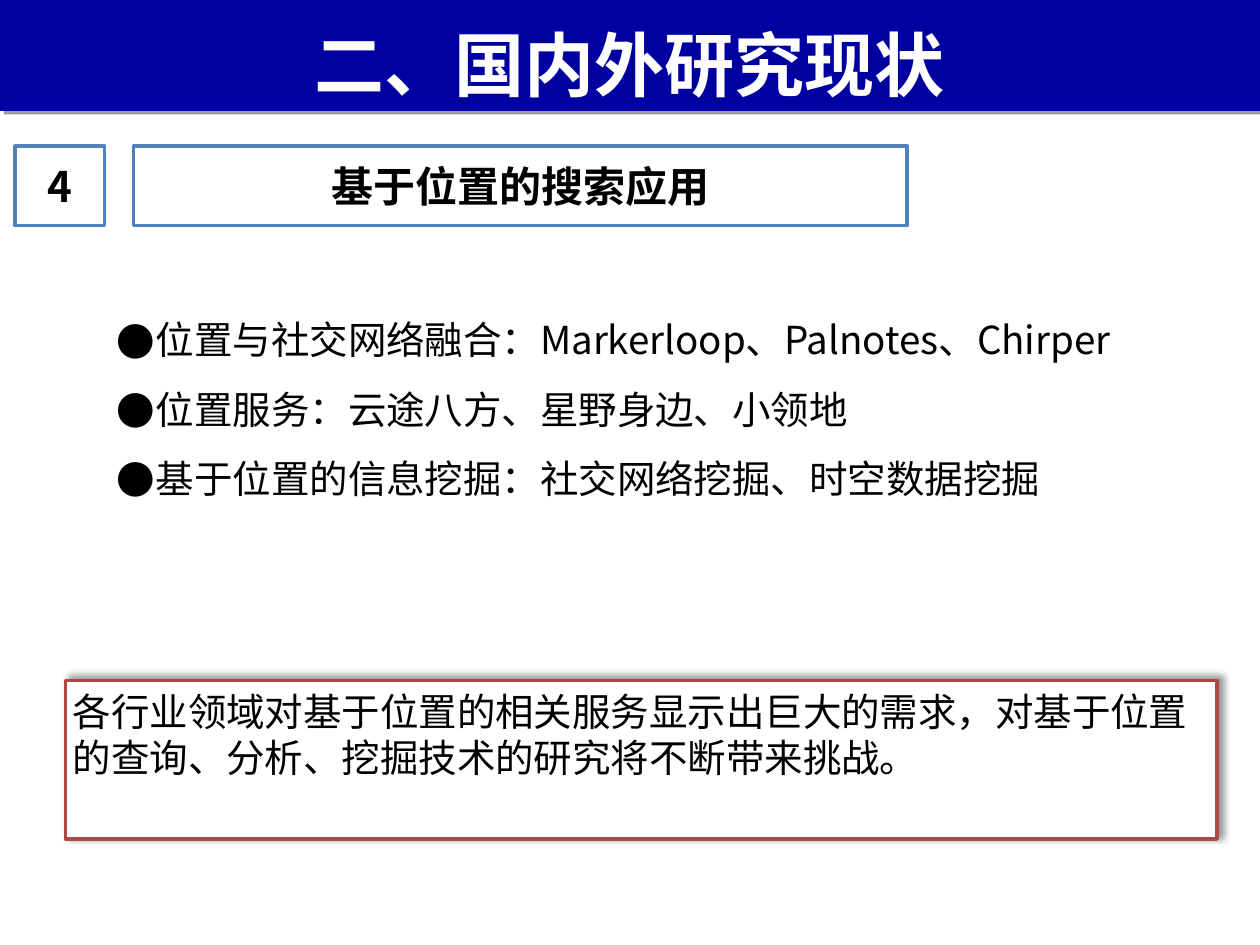
from lxml.etree import SubElement
from pptx import Presentation
from pptx.dml.color import RGBColor
from pptx.enum.shapes import MSO_SHAPE as Shape
from pptx.enum.text import MSO_ANCHOR as Anchor, MSO_AUTO_SIZE as AutoSize, PP_ALIGN as Align
from pptx.oxml.ns import qn
from pptx.util import Inches, Pt

FONT = "Noto Sans CJK SC"
COLORS = {
    "banner": "0000A0",
    "white": "FFFFFF",
    "black": "000000",
    "heading_line": "4F81BD",
    "panel_line": "AE4845",
}
BULLETS = [
    "位置与社交网络融合：Markerloop、Palnotes、Chirper",
    "位置服务：云途八方、星野身边、小领地",
    "基于位置的信息挖掘：社交网络挖掘、时空数据挖掘",
]
SUMMARY = "各行业领域对基于位置的相关服务显示出巨大的需求，对基于位置的查询、分析、挖掘技术的研究将不断带来挑战。"


def color(name):
    return RGBColor.from_string(COLORS[name])


def add_shadow(shape, alpha, blur, distance, angle):
    effects = shape._element.spPr.find(qn("a:effectLst"))
    shadow = SubElement(effects, qn("a:outerShdw"), blurRad=str(Pt(blur)),
                        dist=str(Pt(distance)), dir=str(angle * 60000),
                        algn="ctr", rotWithShape="0")
    shade = SubElement(shadow, qn("a:srgbClr"), val=COLORS["black"])
    SubElement(shade, qn("a:alpha"), val=str(alpha * 1000))


def add_rectangle(shapes, box, fill="white", line=None):
    shape = shapes.add_shape(Shape.RECTANGLE, *map(Inches, box))
    shape.shadow.inherit = False
    shape.fill.solid()
    shape.fill.fore_color.rgb = color(fill)
    if line:
        shape.line.color.rgb = color(line)
        shape.line.width = Pt(2)
    else:
        shape.line.fill.background()
    return shape


def write_text(shape, *lines, size=22, font_color="black", bold=False, align=Align.LEFT,
               anchor=Anchor.TOP, spacing=None, bullet=None, grow=False):
    frame = shape.text_frame
    frame.word_wrap = True
    frame.vertical_anchor = anchor
    if grow:
        frame.auto_size = AutoSize.SHAPE_TO_FIT_TEXT
    for index, line in enumerate(lines):
        paragraph = frame.add_paragraph() if index else frame.paragraphs[0]
        paragraph.alignment = align
        if spacing:
            paragraph.line_spacing = spacing
        if bullet:
            properties = paragraph._p.get_or_add_pPr()
            properties.set("marL", str(Inches(0.31)))
            properties.set("indent", str(-Inches(0.31)))
            SubElement(properties, qn("a:buFont"), typeface=FONT)
            SubElement(properties, qn("a:buChar"), char=bullet)
        run = paragraph.add_run()
        run.text = line
        run.font.size = Pt(size)
        run.font.bold = bold
        run.font.color.rgb = color(font_color)
        run.font.name = FONT
        SubElement(run._r.get_or_add_rPr(), qn("a:ea"), typeface=FONT)


def add_banner(slide, left, top, width, height):
    banner = add_rectangle(slide.shapes, (left, top, width, height), fill="banner")
    add_shadow(banner, alpha=38, blur=0, distance=3, angle=45)
    title_box = (left + 0.27, top + 0.13, width - 0.55, height - 0.13)
    title = slide.shapes.add_textbox(*map(Inches, title_box))
    write_text(title, "二、国内外研究现状", size=40, font_color="white", bold=True,
               align=Align.CENTER, anchor=Anchor.MIDDLE)


def add_heading(slide, left, top, width, height):
    number_width, gap = 0.71, 0.23
    offset = number_width + gap
    parts = [
        ("基于位置的搜索应用", left + offset, width - offset),
        ("4", left, number_width),
    ]
    for text, part_left, part_width in parts:
        shape = add_rectangle(slide.shapes, (part_left, top, part_width, height),
                              line="heading_line")
        write_text(shape, text, size=24, bold=True, align=Align.CENTER, anchor=Anchor.MIDDLE)


def add_bullets(slide, left, top, width, height):
    textbox = slide.shapes.add_textbox(*map(Inches, (left, top, width, height)))
    write_text(textbox, *BULLETS, spacing=1.5, bullet="●", grow=True)


def add_summary(slide, left, top, width, height):
    group = slide.shapes.add_group_shape()
    panel = add_rectangle(group.shapes, (left, top, width, height), line="panel_line")
    add_shadow(panel, alpha=40, blur=4, distance=3, angle=315)
    text_box = (left - 0.04, top + 0.01, width + 0.03, 0.84)
    textbox = group.shapes.add_textbox(*map(Inches, text_box))
    write_text(textbox, SUMMARY, grow=True)


def main():
    presentation = Presentation()
    presentation.slide_width = Inches(10)
    presentation.slide_height = Inches(7.5)
    slide = presentation.slides.add_slide(presentation.slide_layouts[6])
    add_banner(slide, 0, 0, 10, 0.88)
    add_heading(slide, 0.12, 1.16, 7.08, 0.63)
    add_bullets(slide, 0.83, 2.28, 8.74, 1.77)
    add_summary(slide, 0.52, 5.4, 9.14, 1.26)
    presentation.save("out.pptx")


if __name__ == "__main__":
    main()
